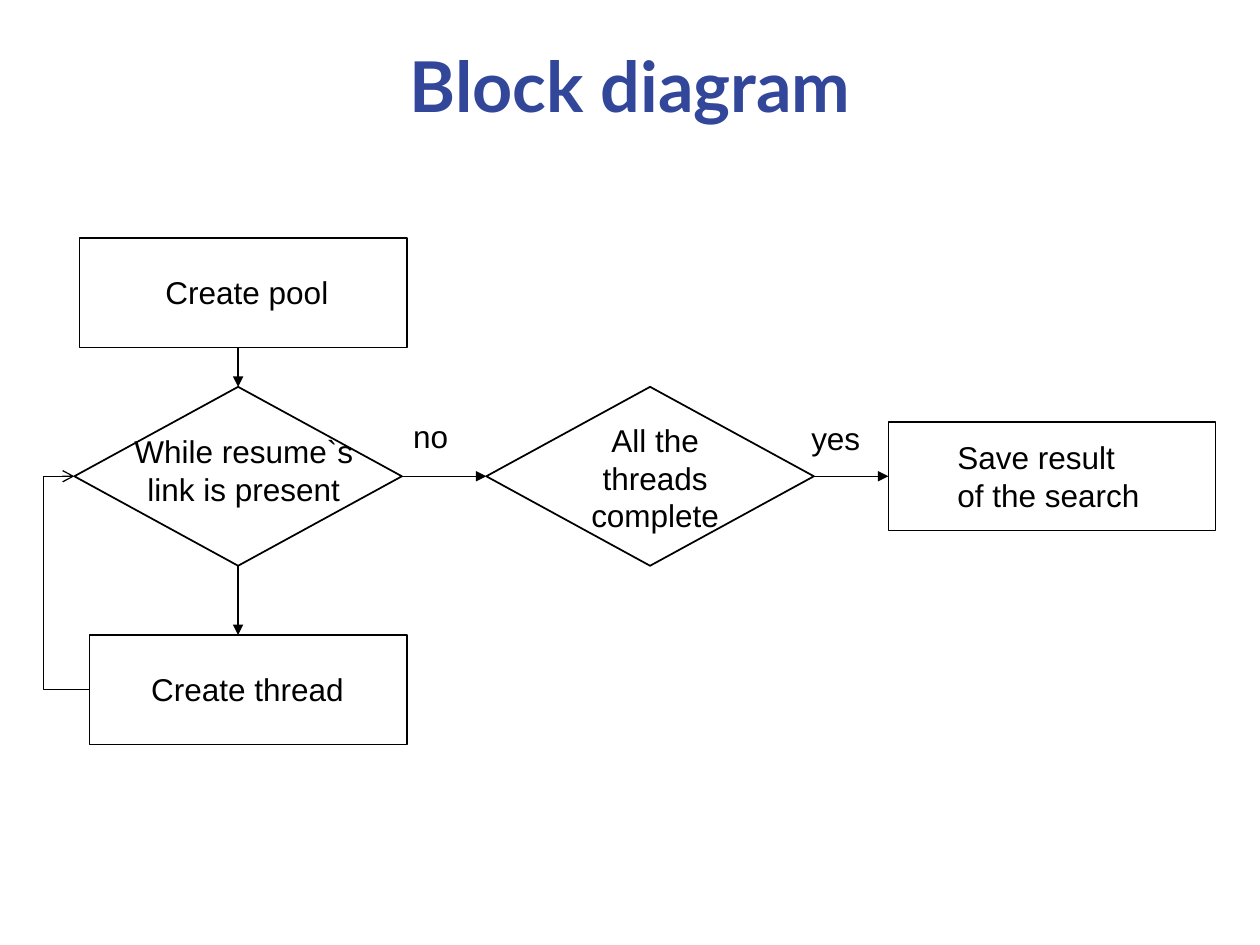
"""Build the block diagram slide: a thread pool flow with two decisions."""
from lxml.etree import SubElement
from pptx import Presentation
from pptx.dml.color import RGBColor
from pptx.enum.shapes import MSO_CONNECTOR, MSO_SHAPE
from pptx.enum.text import MSO_ANCHOR, PP_ALIGN
from pptx.oxml.ns import qn
from pptx.util import Inches, Pt

COLORS = {"title": "32469A", "ink": "000000", "paper": "FFFFFF"}
RECT, RHOMB = MSO_SHAPE.RECTANGLE, MSO_SHAPE.FLOWCHART_DECISION
LEFT, CENTER = PP_ALIGN.LEFT, PP_ALIGN.CENTER

NODES = {
    "pool": (RECT, (0.63, 1.89, 2.6, 0.87)),
    "thread": (RECT, (0.71, 5.04, 2.52, 0.87)),
    "while": (RHOMB, (0.59, 3.07, 2.6, 1.42)),
    "done": (RHOMB, (3.86, 3.07, 2.6, 1.42)),
    "save": (RECT, (7.05, 3.35, 2.6, 0.86)),
}
LABELS = [
    ("Create pool", (0.86, 2.12, 2.2, 0.4), CENTER),
    ("Create thread", (0.98, 5.27, 1.97, 0.4), CENTER),
    ("While resume`s link is present", (0.82, 3.38, 2.23, 0.71), CENTER),
    ("All the threads complete", (4.45, 3.29, 1.5, 1.01), CENTER),
    ("Save result of the search", (7.5, 3.43, 1.65, 0.71), LEFT),
    ("no", (3.18, 3.26, 0.63, 0.4), LEFT),
    ("yes", (6.34, 3.28, 0.71, 0.4), LEFT),
]
ARROWS = [
    ((1.89, 2.76), (1.89, 3.07), None, ("while", 0)),
    ((1.89, 4.49), (1.89, 5.04), ("while", 2), None),
    ((3.19, 3.78), (3.86, 3.78), ("while", 3), ("done", 1)),
    ((6.46, 3.78), (7.05, 3.78), ("done", 3), ("save", 1)),
]
LOOP = ((0.71, 5.47), (0.59, 3.78))
BEND = 306100


def color(name):
    return RGBColor.from_string(COLORS[name])


def add_text(slide, text, box, size=18, font="Arial", ink="ink",
             bold=False, align=LEFT, anchor=MSO_ANCHOR.TOP):
    frame = slide.shapes.add_textbox(*map(Inches, box)).text_frame
    frame.word_wrap = True
    frame.vertical_anchor = anchor
    para = frame.paragraphs[0]
    para.alignment = align
    run = para.add_run()
    run.text = text
    run.font.size, run.font.name, run.font.bold = Pt(size), font, bold
    run.font.color.rgb = color(ink)


def add_node(slide, kind, box):
    node = slide.shapes.add_shape(kind, *map(Inches, box))
    node.shadow.inherit = False
    if kind == RECT:
        node.fill.solid()
        node.fill.fore_color.rgb = color("paper")
    else:
        node.fill.background()
    node.line.color.rgb = color("ink")
    node.line.width = Pt(0.75 if kind == RECT else 1)
    return node


def add_arrow(slide, start, end, kind=MSO_CONNECTOR.STRAIGHT, head="triangle"):
    arrow = slide.shapes.add_connector(kind, *map(Inches, start + end))
    arrow.line.color.rgb = color("ink")
    arrow.line.width = Pt(0.75)
    SubElement(arrow.line._get_or_add_ln(), qn("a:tailEnd"), type=head)
    SubElement(arrow._element.spPr, qn("a:effectLst"))
    return arrow


def main():
    deck = Presentation()
    deck.slide_width, deck.slide_height = Inches(10), Inches(7.5)
    slide = deck.slides.add_slide(deck.slide_layouts[6])

    add_text(slide, "Block diagram", (0.5, 0.17, 9, 1), size=40, font="Lato",
             ink="title", bold=True, align=CENTER, anchor=MSO_ANCHOR.MIDDLE)
    nodes = {name: add_node(slide, *item) for name, item in NODES.items()}
    for text, box, align in LABELS:
        add_text(slide, text, box, align=align)

    for start, end, source, target in ARROWS:
        arrow = add_arrow(slide, start, end)
        if source:
            arrow.begin_connect(nodes[source[0]], source[1])
        if target:
            arrow.end_connect(nodes[target[0]], target[1])

    loop = add_arrow(slide, *LOOP, kind=MSO_CONNECTOR.ELBOW, head="arrow")
    geom = loop._element.spPr.find(qn("a:prstGeom"))
    guides = geom.find(qn("a:avLst"))
    if guides is None:
        guides = SubElement(geom, qn("a:avLst"))
    SubElement(guides, qn("a:gd"), name="adj1", fmla=f"val {BEND}")

    deck.save("out.pptx")


if __name__ == "__main__":
    main()
